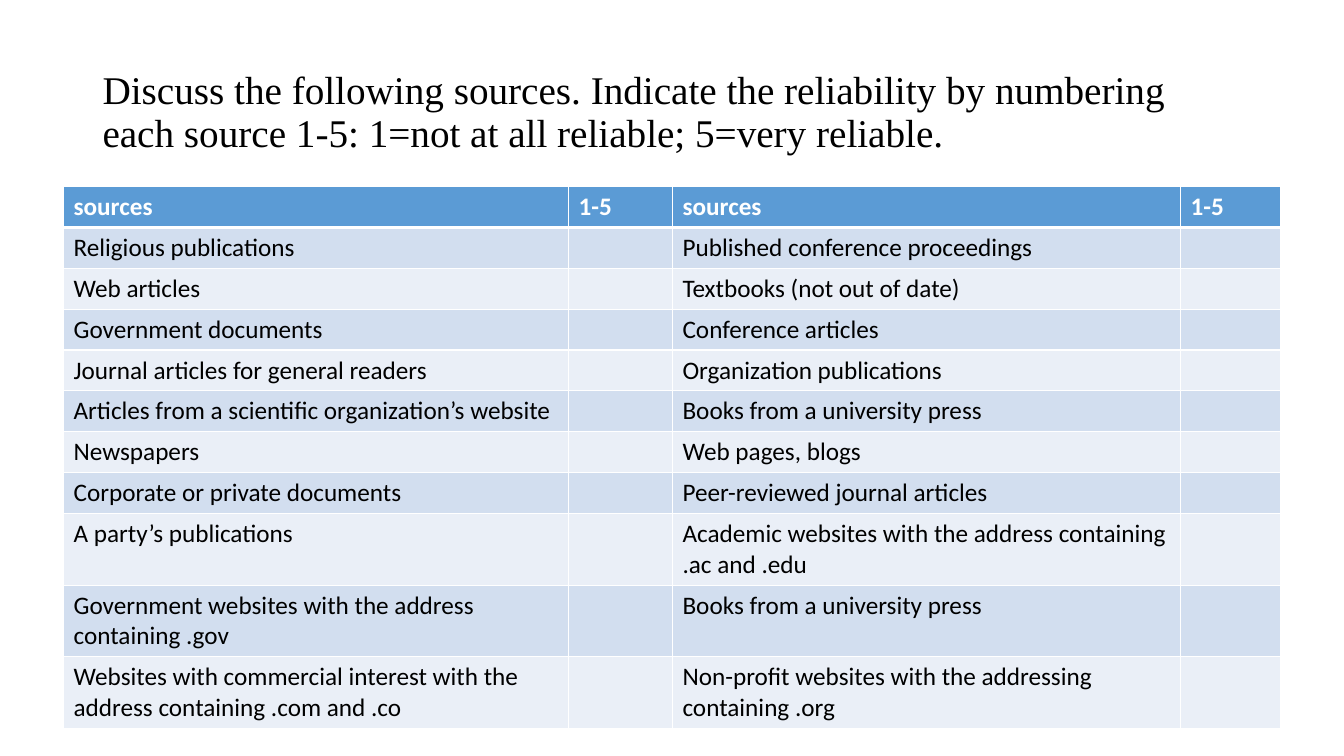
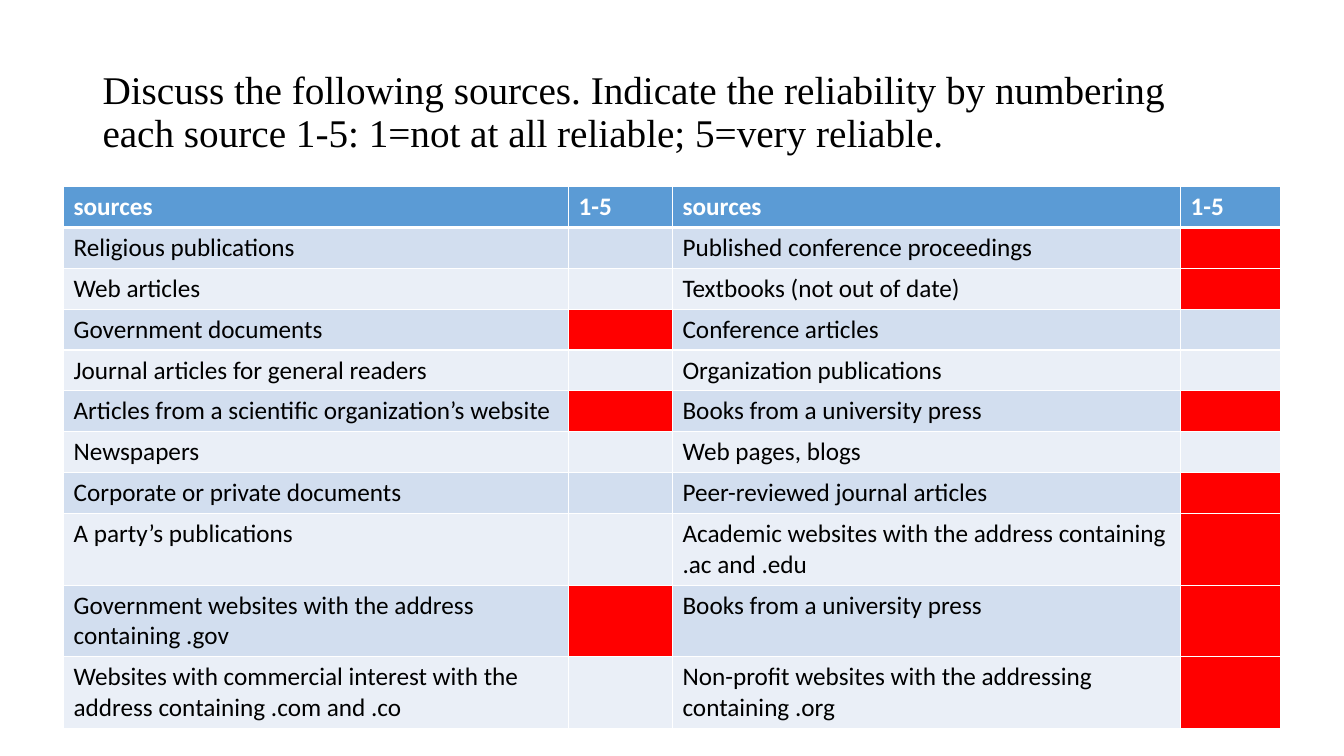
from dataclasses import dataclass
from typing import Any

from lxml.etree import SubElement
from pptx import Presentation
from pptx.dml.color import RGBColor
from pptx.enum.text import MSO_ANCHOR, MSO_AUTO_SIZE, PP_ALIGN
from pptx.oxml.ns import qn
from pptx.util import Inches, Pt

SLIDE_WIDTH, SLIDE_HEIGHT = Inches(13.33), Inches(7.5)
WHITE, BLACK, HEADER_BLUE, MARK_RED = "FFFFFF", "000000", "5B9BD5", "FF0000"
BANDS = ("D2DEEF", "EAEFF7")
TITLE_FONT = {"name": "Times New Roman", "size": Pt(28), "bold": False}
HEADER_FONT = {"name": "Calibri", "size": Pt(18), "bold": True}
BODY_FONT = {**HEADER_FONT, "bold": False}
TITLE = ("Discuss the following sources. Indicate the reliability by numbering "
         "each source 1-5: 1=not at all reliable; 5=very reliable.")
HEADER = ("sources", "1-5", "sources", "1-5")
LEFT_SOURCES = (
    "Religious publications",
    "Web articles",
    "Government documents",
    "Journal articles for general readers",
    "Articles from a scientific organization’s website",
    "Newspapers ",
    "Corporate or private documents",
    "A party’s publications",
    "Government websites with the address containing .gov",
    "Websites with commercial interest with the address containing .com and .co",
)
RIGHT_SOURCES = (
    "Published conference proceedings",
    "Textbooks (not out of date)",
    "Conference articles",
    "Organization publications",
    "Books from a university press",
    "Web pages, blogs",
    "Peer-reviewed journal articles",
    "Academic websites with the address containing .ac and .edu",
    "Books from a university press",
    "Non-profit websites with the addressing containing .org",
)
COLUMN_SHARES = (37.58, 7.73, 37.8, 7.43)
SINGLE_ROW, DOUBLE_ROW = 5.41, 9.33
DOUBLE_ROW_COUNT = 3
LEFT_SCORE, RIGHT_SCORE = 1, 3


@dataclass(frozen=True)
class Box:
    """A rectangle in percent of the slide's width and height."""
    left: float
    top: float
    width: float
    height: float


@dataclass(frozen=True)
class SourceSlide:
    """The rows marked as reliable, by score column."""
    marked_rows: dict[int, tuple[int, ...]]


SLIDES = (
    SourceSlide({}),
    SourceSlide({LEFT_SCORE: (3, 5, 9), RIGHT_SCORE: (1, 2, 5, 7, 8, 9, 10)}),
)
TITLE_BOX = Box(6.88, 5.33, 86.25, 19.33)
ROW_SHARES = ((SINGLE_ROW,) * (len(HEADER + LEFT_SOURCES) - len(HEADER) + 1 - DOUBLE_ROW_COUNT)
              + (DOUBLE_ROW,) * DOUBLE_ROW_COUNT)
TABLE_BOX = Box(4.73, 24.67, sum(COLUMN_SHARES), sum(ROW_SHARES))


def color(value: str) -> RGBColor:
    """Return the colour for a hex string."""
    return RGBColor.from_string(value)


def across(share: float) -> int:
    """Return a length for a percentage of the slide's width."""
    return round(SLIDE_WIDTH * share / 100)


def down(share: float) -> int:
    """Return a length for a percentage of the slide's height."""
    return round(SLIDE_HEIGHT * share / 100)


def placed(box: Box) -> dict[str, int]:
    """Return a box as shape position and size values."""
    return {"left": across(box.left), "top": down(box.top),
            "width": across(box.width), "height": down(box.height)}


def apply_format(target: Any, values: dict[str, Any]) -> None:
    """Set each named attribute of the target."""
    for name, value in values.items():
        setattr(target, name, value)


def write_text(paragraph: Any, text: str, font: dict[str, Any], ink: str) -> None:
    """Write one formatted run into a paragraph."""
    run = paragraph.add_run()
    run.text = text
    apply_format(run.font, font)
    run.font.color.rgb = color(ink)


def set_borders(cell: Any, bottom_points: float) -> None:
    """Draw white cell borders with the given bottom width."""
    properties = cell._tc.get_or_add_tcPr()
    widths = {"a:lnL": 1, "a:lnR": 1, "a:lnT": 1, "a:lnB": bottom_points}
    for position, (tag, points) in enumerate(widths.items()):
        line = SubElement(properties, qn(tag), w=str(Pt(points)))
        fill = SubElement(line, qn("a:solidFill"))
        SubElement(fill, qn("a:srgbClr"), val=WHITE)
        properties.insert(position, line)


def draw_title(slide: Any) -> None:
    """Place and fill the title placeholder."""
    title = slide.shapes.title
    apply_format(title, placed(TITLE_BOX))
    apply_format(title.text_frame, {"word_wrap": True, "auto_size": MSO_AUTO_SIZE.NONE,
                                    "vertical_anchor": MSO_ANCHOR.MIDDLE})
    paragraph = title.text_frame.paragraphs[0]
    apply_format(paragraph, {"alignment": PP_ALIGN.LEFT, "line_spacing": 0.9})
    write_text(paragraph, TITLE, TITLE_FONT, BLACK)


def draw_cell(cell: Any, text: str, row: int, marked: bool) -> None:
    """Fill, border and write one table cell."""
    is_header = row == 0
    band = HEADER_BLUE if is_header else BANDS[(row - 1) % len(BANDS)]
    cell.fill.solid()
    cell.fill.fore_color.rgb = color(MARK_RED if marked else band)
    set_borders(cell, 3 if is_header else 1)
    if text:
        write_text(cell.text_frame.paragraphs[0], text,
                   HEADER_FONT if is_header else BODY_FONT,
                   WHITE if is_header else BLACK)


def draw_table(slide: Any, content: SourceSlide) -> None:
    """Draw the table of sources and scores."""
    rows = [HEADER, *((left, "", right, "")
                      for left, right in zip(LEFT_SOURCES, RIGHT_SOURCES))]
    table = slide.shapes.add_table(len(rows), len(HEADER), **placed(TABLE_BOX)).table
    for column, share in zip(table.columns, COLUMN_SHARES):
        column.width = across(share)
    for table_row, share in zip(table.rows, ROW_SHARES):
        table_row.height = down(share)
    for row, texts in enumerate(rows):
        for column, text in enumerate(texts):
            marked = row in content.marked_rows.get(column, ())
            draw_cell(table.cell(row, column), text, row, marked)


def build() -> None:
    """Build and save the presentation."""
    presentation = Presentation()
    apply_format(presentation, {"slide_width": SLIDE_WIDTH, "slide_height": SLIDE_HEIGHT})
    title_only = presentation.slide_layouts.get_by_name("Title Only")
    for content in SLIDES:
        slide = presentation.slides.add_slide(title_only)
        draw_title(slide)
        draw_table(slide, content)
    presentation.save("out.pptx")


build()
